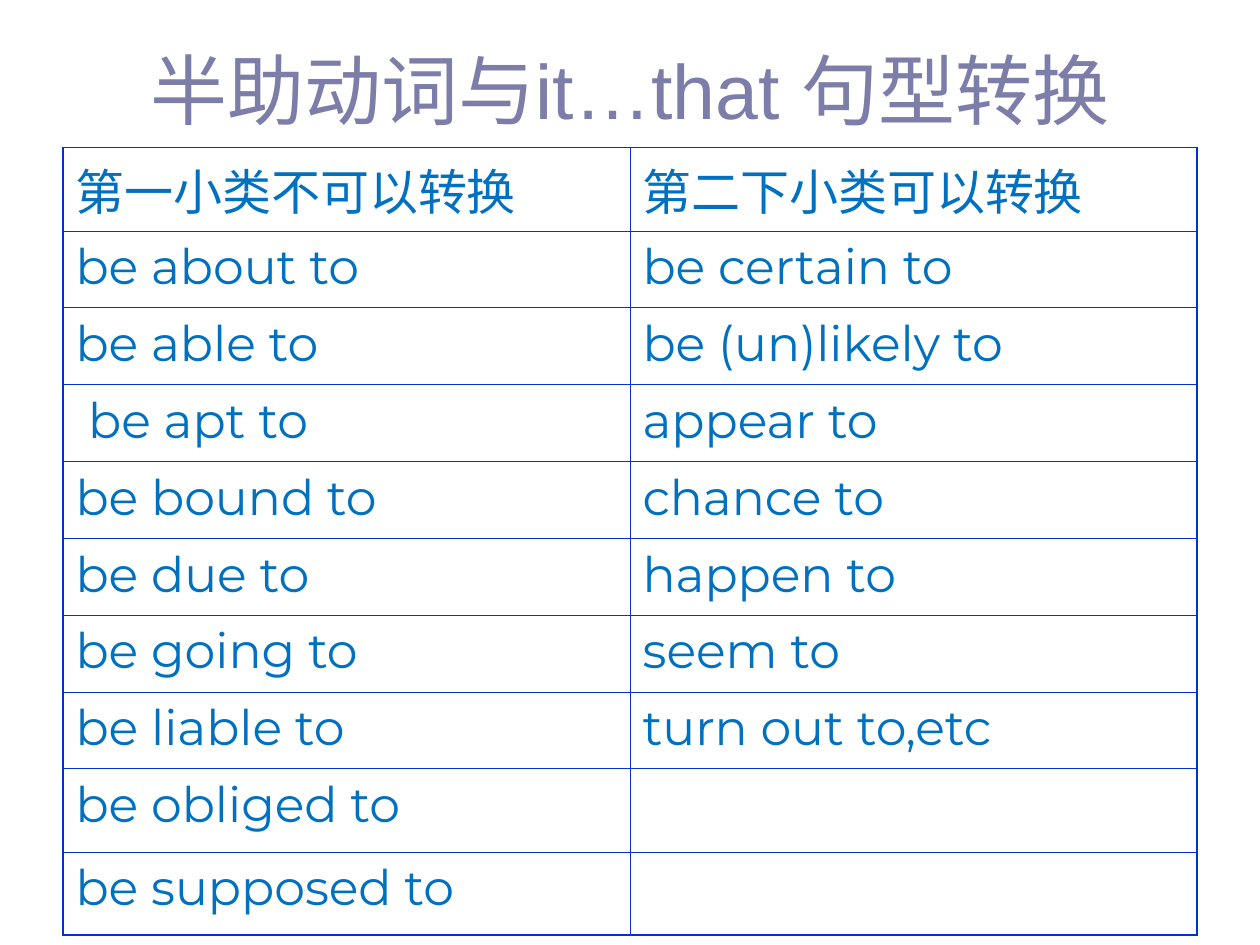
from dataclasses import dataclass

from lxml import etree
from pptx import Presentation
from pptx import util as u
from pptx.dml.color import RGBColor
from pptx.enum import text
from pptx.oxml import ns


@dataclass(frozen=True)
class Theme:
    title_color: str = "7D7DA9"
    body_color: str = "0070C0"
    border_color: str = "0033CC"
    heading_font: str = "Arial"
    phrase_font: str = "Montserrat"
    title_size: int = 44
    body_size: int = 28
    outer_line: float = 1.08
    inner_line: float = 0.45


class SlideBuilder:
    def __init__(self, deck, theme):
        self.theme = theme
        self.slide = deck.slides.add_slide(deck.slide_layouts[5])

    def add_run(self, paragraph, words, font, size, color):
        run = paragraph.add_run()
        run.text = words
        run.font.name = font
        run.font.size = u.Pt(size)
        run.font.color.rgb = RGBColor.from_string(color)

    def title(self, words, left, top, width, height):
        heading = self.slide.shapes.title
        heading.left, heading.top = u.Inches(left), u.Inches(top)
        heading.width, heading.height = u.Inches(width), u.Inches(height)
        frame = heading.text_frame
        frame.word_wrap = True
        frame.auto_size = text.MSO_AUTO_SIZE.NONE
        frame.vertical_anchor = text.MSO_ANCHOR.MIDDLE
        paragraph = frame.paragraphs[0]
        paragraph.alignment = text.PP_ALIGN.CENTER
        self.add_run(paragraph, words, self.theme.heading_font,
                     self.theme.title_size, self.theme.title_color)

    def borders(self, cell, outer_sides):
        properties = cell._tc.get_or_add_tcPr()
        for position, side in enumerate("LRTB"):
            points = self.theme.outer_line if side in outer_sides else self.theme.inner_line
            line = etree.Element(ns.qn(f"a:ln{side}"), w=str(u.Pt(points)))
            fill = etree.SubElement(line, ns.qn("a:solidFill"))
            etree.SubElement(fill, ns.qn("a:srgbClr"), val=self.theme.border_color)
            properties.insert(position, line)

    def table(self, rows, left, top, column_width, heights, indented):
        row_count, column_count = len(rows), len(rows[0])
        grid = self.slide.shapes.add_table(
            row_count, column_count, u.Inches(left), u.Inches(top),
            u.Inches(column_width * column_count), u.Inches(sum(heights))).table
        grid.first_row = grid.horz_banding = False
        for column in grid.columns:
            column.width = u.Inches(column_width)
        for r, (phrases, height) in enumerate(zip(rows, heights)):
            grid.rows[r].height = u.Inches(height)
            font = self.theme.phrase_font if r else self.theme.heading_font
            for c, phrase in enumerate(phrases):
                cell = grid.cell(r, c)
                cell.fill.background()
                edges = {"L": c == 0, "R": c == column_count - 1,
                         "T": r == 0, "B": r == row_count - 1}
                self.borders(cell, [side for side, outer in edges.items() if outer])
                if phrase:
                    paragraph = cell.text_frame.paragraphs[0]
                    if phrase in indented:
                        paragraph._p.get_or_add_pPr().set("marL", str(u.Inches(0.1)))
                    self.add_run(paragraph, phrase, font,
                                 self.theme.body_size, self.theme.body_color)


def main():
    deck = Presentation()
    deck.slide_width, deck.slide_height = u.Inches(10), u.Inches(7.5)
    builder = SlideBuilder(deck, Theme())

    # Heading
    builder.title("半助动词与it…that 句型转换", 0.33, 0.08, 9.34, 1.25)

    # Semi-auxiliaries: not convertible on the left, convertible on the right
    semi_auxiliaries = [
        ("第一小类不可以转换", "第二下小类可以转换"),
        ("be about to", "be certain to"),
        ("be able to", "be (un)likely to"),
        ("be apt to", "appear to"),
        ("be bound to", "chance to"),
        ("be due to", "happen to"),
        ("be going to", "seem to"),
        ("be liable to", "turn out to,etc"),
        ("be obliged to", ""),
        ("be supposed to", ""),
    ]
    heights = [0.66] + [0.61] * 7 + [0.66] * 2
    builder.table(semi_auxiliaries, 0.5, 1.17, 4.5, heights, indented={"be apt to"})

    deck.save("out.pptx")


if __name__ == "__main__":
    main()
